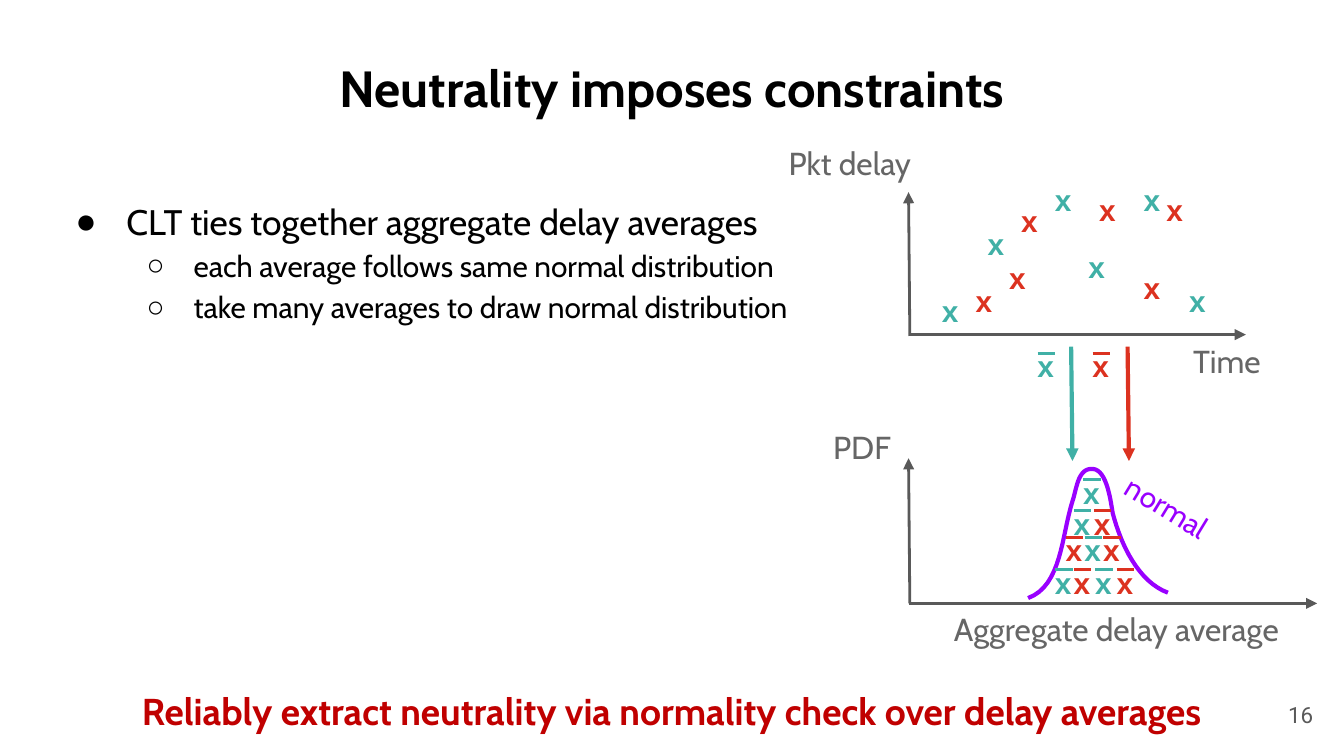
from lxml import etree
from pptx import Presentation
from pptx.dml.color import RGBColor
from pptx.enum.shapes import MSO_CONNECTOR as Connector
from pptx.enum.text import MSO_ANCHOR as Anchor, PP_ALIGN as Align
from pptx.oxml.ns import qn
from pptx.util import Inches, Pt

COLORS = {"black": "000000", "white": "FFFFFF", "axis": "595959", "label": "666666",
          "teal": "40B0A6", "red": "DC3220", "purple": "9900FF", "takeaway": "C00000"}

TITLE = "Neutrality imposes constraints"
TAKEAWAY = "Reliably extract neutrality via normality check over delay averages"
BULLETS = [  # level, text
    (0, "CLT ties together aggregate delay averages"),
    (1, "each average follows same normal distribution"),
    (1, "take many averages to draw normal distribution"),
]
BULLET_STYLES = [  # symbol, size, left margin, hanging indent
    ("●", 19, 0.5, -0.38),
    ("○", 16, 1, -0.35),
]
AXIS_LABELS = [  # text, left, top, width
    ("Pkt delay", 5.77, 0.97, 1.61),
    ("Time", 8.78, 2.44, 1.79),
    ("PDF", 6.1, 3.08, 1.61),
    ("Aggregate delay average", 7, 4.44, 4.06),
]
AXES = [  # origin, tip
    ((6.77, 2.5), (6.76, 1.43)),
    ((6.76, 2.49), (9.27, 2.49)),
    ((6.77, 4.49), (6.76, 3.41)),
    ((6.76, 4.49), (9.8, 4.49)),
]
DELAYS = {
    "teal": [(6.91, 2.08), (7.25, 1.58), (7.75, 1.25), (8, 1.75), (8.41, 1.25), (8.75, 2)],
    "red": [(7.16, 2), (7.41, 1.83), (7.5, 1.41), (8.08, 1.33), (8.41, 1.91), (8.58, 1.33)],
}
AVERAGE_ROWS = [  # top, (left, color) of each average
    (2.49, [(7.62, "teal"), (8.03, "red")]),
    (3.43, [(7.96, "teal")]),
    (3.66, [(7.89, "teal"), (8.04, "red")]),
    (3.86, [(7.83, "red"), (7.97, "teal"), (8.11, "red")]),
    (4.1, [(7.75, "teal"), (7.89, "red"), (8.05, "teal"), (8.21, "red")]),
]
FLOWS = [(7.97, "teal"), (8.39, "red")]
BELL_START = (7.65, 4.45)
BELL_CURVES = [  # two control points and the end of each Bézier piece
    ((7.9, 4.36), (7.9, 3.98), (7.98, 3.73)),
    ((8.01, 3.64), (8.02, 3.5), (8.11, 3.49)),
    ((8.23, 3.47), (8.26, 3.7), (8.28, 3.82)),
    ((8.34, 4.05), (8.47, 4.33), (8.69, 4.41)),
]
BELL_STEPS = 16

prs = Presentation()
prs.slide_width = Inches(10)
prs.slide_height = prs.slide_width * 9 // 16
slide = prs.slides.add_slide(prs.slide_layouts[1])
shapes = slide.shapes


def rgb(name):
    return RGBColor.from_string(COLORS[name])


def format_run(run, size, color, font="Cabin", bold=False):
    run.font.size, run.font.name, run.font.bold = Pt(size), font, bold
    run.font.color.rgb = rgb(color)


def place(shape, left, top, width, height):
    shape.left, shape.top = Inches(left), Inches(top)
    shape.width, shape.height = Inches(width), Inches(height)


def set_frame(frame, anchor=Anchor.TOP, wrap=True):
    frame.word_wrap, frame.vertical_anchor = wrap, anchor
    frame.margin_left = frame.margin_right = Inches(0.1)
    frame.margin_top = frame.margin_bottom = Inches(0.1)


def add_text(text, left, top, width, height, *, size, color, holder=None, font="Cabin",
             bold=False, align=Align.LEFT, anchor=Anchor.TOP, wrap=True, rotation=0):
    """Write one line of text in the holder, or in a new text box."""
    box = holder or shapes.add_textbox(0, 0, 0, 0)
    place(box, left, top, width, height)
    box.rotation = rotation
    set_frame(box.text_frame, anchor, wrap)
    paragraph = box.text_frame.paragraphs[0]
    paragraph.alignment = align
    run = paragraph.add_run()
    run.text = text
    format_run(run, size, color, font, bold)


def add_line(start, end, color, weight=1.5, arrow=False):
    ends = [Inches(value) for value in (*start, *end)]
    line = shapes.add_connector(Connector.STRAIGHT, *ends)
    line.line.color.rgb, line.line.width = rgb(color), Pt(weight)
    if arrow:
        properties = line._element.spPr.find(qn("a:ln"))
        etree.SubElement(properties, qn("a:tailEnd"), type="triangle")
    etree.SubElement(line._element.spPr, qn("a:effectLst"))


def add_x(left, top, color):
    add_text("x", left, top, 0.32, 0.47, size=16, color=color, font="Arial", bold=True, wrap=False)


def add_bullets(body):
    place(body, 0.34, 1.34, 9.59, 3.6)
    frame = body.text_frame
    set_frame(frame)
    for index, (level, text) in enumerate(BULLETS):
        symbol, size, margin, indent = BULLET_STYLES[level]
        paragraph = frame.add_paragraph() if index else frame.paragraphs[0]
        paragraph.level, paragraph.line_spacing = level, 1.15
        paragraph.space_before = paragraph.space_after = Pt(0)
        run = paragraph.add_run()
        run.text = text
        format_run(run, size, "black")
        props = paragraph._p.get_or_add_pPr()
        props.set("marL", str(Inches(margin)))
        props.set("indent", str(Inches(indent)))
        bullet_color = etree.SubElement(props, qn("a:buClr"))
        etree.SubElement(bullet_color, qn("a:srgbClr"), val=COLORS["black"])
        etree.SubElement(props, qn("a:buChar"), char=symbol)


def bell_points():
    """Sample the Bézier pieces, since a freeform takes straight segments."""
    start = BELL_START
    for first, second, end in BELL_CURVES:
        for step in range(1, BELL_STEPS + 1):
            t = step / BELL_STEPS
            u = 1 - t
            yield tuple(
                Inches(u**3 * a + 3 * u * u * t * b + 3 * u * t * t * c + t**3 * d)
                for a, b, c, d in zip(start, first, second, end))
        start = end


def add_bell():
    builder = shapes.build_freeform(*(Inches(value) for value in BELL_START))
    builder.add_line_segments(list(bell_points()), close=False)
    bell = builder.convert_to_shape()
    bell.shadow.inherit = False
    bell.fill.background()
    bell.line.color.rgb, bell.line.width = rgb("purple"), Pt(2.25)


slide.background.fill.solid()
slide.background.fill.fore_color.rgb = rgb("white")

add_text(TITLE, 0.34, 0.32, 9.32, 0.63, holder=shapes.title, size=27.2, color="black",
         bold=True, align=Align.CENTER)
add_text(TAKEAWAY, 0, 5.02, 10, 0.54, size=20, color="takeaway", bold=True, align=Align.CENTER)
add_text("16", 9.27, 5.1, 0.6, 0.43, size=12, color="axis", font="Roboto",
         align=Align.RIGHT, anchor=Anchor.MIDDLE)
add_bullets(slide.placeholders[1])

for label, left, top, width in AXIS_LABELS:
    add_text(label, left, top, width, 0.49, size=17, color="label")
for origin, tip in AXES:
    add_line(origin, tip, "axis", arrow=True)

add_text("normal", 8.21, 3.69, 1.45, 0.47, size=16, color="purple", rotation=31.4)
add_bell()

for color, spots in DELAYS.items():
    for left, top in spots:
        add_x(left, top, color)
for top, averages in AVERAGE_ROWS:
    for left, color in averages:
        add_x(left, top, color)
        add_line((left + 0.1, top + 0.14), (left + 0.23, top + 0.14), color)
for x, color in FLOWS:
    add_line((x, 2.58), (x + 0.01, 3.43), color, weight=2.25, arrow=True)

prs.save("out.pptx")
